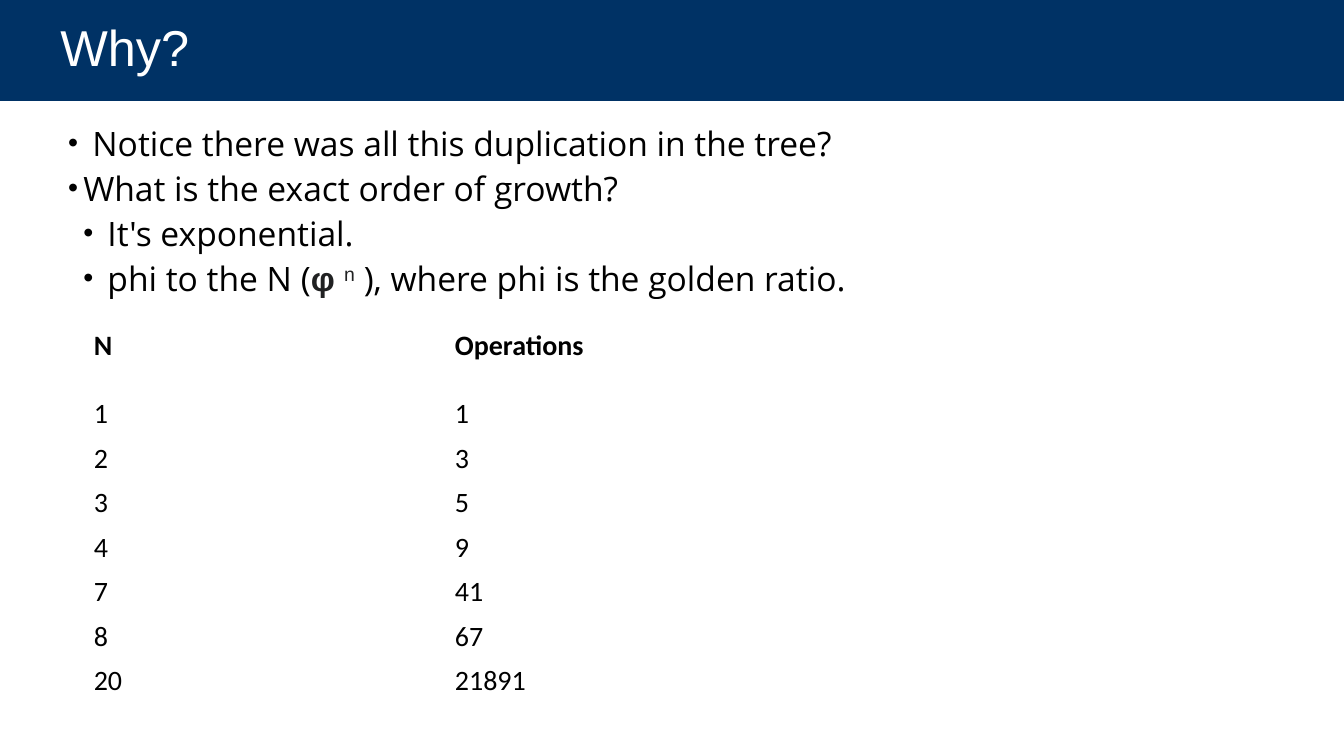
from dataclasses import dataclass

from lxml import etree
from pptx import Presentation
from pptx.dml.color import RGBColor
from pptx.enum.text import MSO_ANCHOR, PP_ALIGN
from pptx.oxml.ns import qn
from pptx.util import Cm, Pt

MIDDLE = MSO_ANCHOR.MIDDLE
LEFT = PP_ALIGN.LEFT
TITLE_ONLY = 5


@dataclass(frozen=True)
class Theme:
    """Colours, fonts and type sizes of the slide."""
    navy: RGBColor = RGBColor(0x00, 0x32, 0x65)
    white: RGBColor = RGBColor(0xFF, 0xFF, 0xFF)
    black: RGBColor = RGBColor(0x00, 0x00, 0x00)
    charcoal: RGBColor = RGBColor(0x20, 0x21, 0x22)
    title_font: str = "Arial"
    body_font: str = "Open Sans"
    table_font: str = "Calibri"
    title_size: Pt = Pt(36)
    body_size: Pt = Pt(24)
    table_size: Pt = Pt(20)


THEME = Theme()

BULLETS = [
    (0.61, 0.61, [("Notice there was all this duplication in the tree?", "plain")]),
    (0.38, 0.38, [("What is the exact order of growth?", "plain")]),
    (0.99, 0.61, [("It's exponential.", "plain")]),
    (0.99, 0.61, [
        ("phi to the N (", "plain"),
        ("φ ", "symbol"),
        ("n", "power"),
        (" ), where phi is the golden ratio.", "plain"),
    ]),
]

GROWTH = [
    ("N", "Operations"),
    (1, 1), (2, 3), (3, 5), (4, 9), (7, 41), (8, 67), (20, 21891),
]


def style_font(font, name, size, color, bold=False):
    """Set the face, size, colour and weight of a font."""
    font.name = name
    font.size = size
    font.color.rgb = color
    font.bold = bold


def add_bullet(para, margin, hanging):
    """Give a paragraph a round bullet with a hanging indent."""
    properties = para._p.get_or_add_pPr()
    properties.set("marL", str(Cm(margin)))
    properties.set("indent", str(-Cm(hanging)))
    for tag, key, value in (
        ("a:buSzPct", "val", "85000"),
        ("a:buFont", "typeface", "Arial"),
        ("a:buChar", "char", "•"),
    ):
        etree.SubElement(properties, qn(tag)).set(key, value)


def place_title(page, left, top, width, height):
    """Turn the title placeholder into the navy banner."""
    banner = page.shapes.title
    banner.left, banner.top, banner.width, banner.height = left, top, width, height
    banner.fill.solid()
    banner.fill.fore_color.rgb = THEME.navy
    frame = banner.text_frame
    frame.text = "Why?"
    frame.vertical_anchor = MIDDLE
    frame.margin_left, frame.margin_right = Cm(1.52), Cm(2.54)
    para = frame.paragraphs[0]
    para.alignment = LEFT
    para.line_spacing = 0.9
    style_font(para.font, THEME.title_font, THEME.title_size, THEME.white)


def place_bullets(page, left, top, width, height):
    """Write the bulleted questions and answers."""
    box = page.shapes.add_textbox(left, top, width, height)
    frame = box.text_frame
    frame.word_wrap = True
    for index, (margin, hanging, pieces) in enumerate(BULLETS):
        para = frame.add_paragraph() if index else frame.paragraphs[0]
        add_bullet(para, margin, hanging)
        if index:
            para.space_before = Pt(3.3)
        style_font(para.font, THEME.body_font, THEME.body_size, THEME.black)
        for text, kind in pieces:
            span = para.add_run()
            span.text = text
            if kind != "plain":
                style_font(span.font, THEME.title_font, THEME.body_size,
                           THEME.charcoal, kind == "symbol")
            if kind == "power":
                span._r.get_or_add_rPr().set("baseline", "30000")


def place_table(page, left, top, width, header_height, row_height):
    """Tabulate the operation counts for growing N."""
    height = header_height + row_height * (len(GROWTH) - 1)
    table = page.shapes.add_table(
        len(GROWTH), len(GROWTH[0]), left, top, width, height).table
    table.first_row = False
    table.horz_banding = False
    for row_index, values in enumerate(GROWTH):
        is_header = row_index == 0
        table.rows[row_index].height = header_height if is_header else row_height
        for column_index, value in enumerate(values):
            cell = table.cell(row_index, column_index)
            cell.fill.background()
            cell.vertical_anchor = MIDDLE
            cell.text = str(value)
            style_font(cell.text_frame.paragraphs[0].font, THEME.table_font,
                       THEME.table_size, THEME.black, is_header)


def main():
    """Build the slide and save the deck."""
    deck = Presentation()
    deck.slide_width, deck.slide_height = Cm(33.87), Cm(19.05)
    page = deck.slides.add_slide(deck.slide_layouts[TITLE_ONLY])
    place_title(page, 0, 0, deck.slide_width, Cm(2.54))
    place_bullets(page, Cm(1.47), Cm(2.97), Cm(31.17), Cm(14.6))
    place_table(page, Cm(2.11), Cm(7.54), Cm(18.2), Cm(2.34), Cm(1.12))
    deck.save("out.pptx")


if __name__ == "__main__":
    main()
